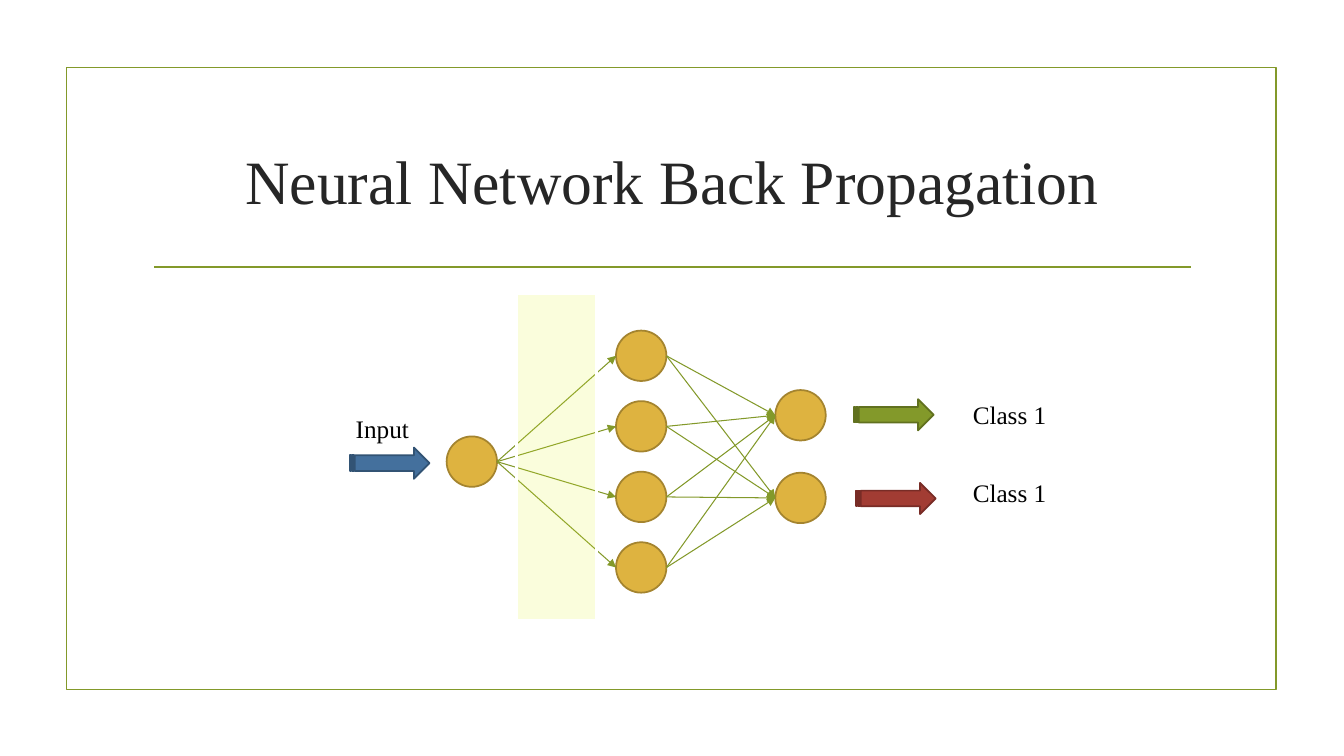
from itertools import product

from lxml.etree import SubElement
from pptx import Presentation
from pptx.dml.color import RGBColor
from pptx.enum.shapes import MSO_CONNECTOR, MSO_SHAPE
from pptx.enum.text import MSO_ANCHOR, PP_ALIGN
from pptx.oxml.ns import qn
from pptx.util import Pt

PX = 9144
NODE = 50
GREEN = "83992A"
FONT = "Times New Roman"


def px(*nums):
    return [round(n * PX) for n in nums]


def tint(color, code):
    color.rgb = RGBColor.from_string(code)


def apply(item, style):
    for name, value in style.items():
        setattr(item, name, value)


def draw(slide, kind, box, fill, edge, width=1.25):
    shape = slide.shapes.add_shape(kind, *px(*box))
    shape.shadow.inherit = False
    if fill:
        shape.fill.solid()
        tint(shape.fill.fore_color, fill)
    else:
        shape.fill.background()
    tint(shape.line.color, edge)
    shape.line.width = Pt(width)
    return shape


def link(slide, start, end, width, head=False):
    line = slide.shapes.add_connector(MSO_CONNECTOR.STRAIGHT, *px(*start, *end))
    tint(line.line.color, GREEN)
    line.line.width = Pt(width)
    if head:
        SubElement(line.line._get_or_add_ln(), qn("a:tailEnd"), type="triangle")
    SubElement(line._element.spPr, qn("a:effectLst"))


def write(slide, box, text, size=18, color="000000", align=PP_ALIGN.LEFT,
          anchor=MSO_ANCHOR.TOP):
    frame = slide.shapes.add_textbox(*px(*box)).text_frame
    apply(frame, {"word_wrap": True, "vertical_anchor": anchor})
    para = frame.paragraphs[0]
    para.alignment = align
    run = para.add_run()
    run.text = text
    apply(run.font, {"name": FONT, "size": Pt(size)})
    tint(run.font.color, color)


def header(slide, box):
    left, top, width, height = box
    draw(slide, MSO_SHAPE.RECTANGLE, box, None, GREEN)
    rule = top + 198
    link(slide, (left + 87, rule), (left + width - 85, rule), 1.25)
    write(slide, (left + 76, top + 40, 1050, 143),
          "Neural Network Back Propagation", 44, "262626",
          PP_ALIGN.CENTER, MSO_ANCHOR.MIDDLE)


def network(slide, box):
    left, top, width, height = box
    layers = [
        (left, [top + 105]),
        (left + 168, [top + 70 * row for row in range(4)]),
        (left + width - NODE, [top + 59, top + 141]),
    ]
    for x, rows in layers:
        for y in rows:
            draw(slide, MSO_SHAPE.OVAL, (x, y, NODE, NODE), "DEB340", "A4842F")
    half = NODE / 2
    for (x1, rows), (x2, nexts) in zip(layers, layers[1:]):
        for y1, y2 in product(rows, nexts):
            link(slide, (x1 + NODE, y1 + half), (x2, y2 + half), 0.75, True)


def signals(slide, box):
    left, top, width, height = box
    flows = [
        (0, 48, "44709D", "325374", "Input", -4, 9),
        (500, 0, GREEN, "61711F", "Class 1", 608, -5),
        (502, 83, "A23C33", "782C26", "Class 1", 608, 73),
    ]
    for x, y, fill, edge, text, across, down in flows:
        draw(slide, MSO_SHAPE.STRIPED_RIGHT_ARROW,
             (left + x, top + y, 79, 31), fill, edge)
        write(slide, (left + across, top + down, 105, 40), text)


def band(slide, box):
    shape = draw(slide, MSO_SHAPE.RECTANGLE, box, "E6F42A", "FFFFFF", 2)
    color = shape._element.spPr.find(qn("a:solidFill"))[0]
    SubElement(color, qn("a:alpha"), val="16000")


def main():
    deck = Presentation()
    width, height = px(1333, 750)
    apply(deck, {"slide_width": width, "slide_height": height})
    slide = deck.slides.add_slide(deck.slide_layouts[6])
    header(slide, (66, 67, 1200, 617))
    network(slide, (443, 328, 376, 261))
    signals(slide, (347, 396, 713, 114))
    band(slide, (512, 291, 80, 325))
    deck.save("out.pptx")


if __name__ == "__main__":
    main()
